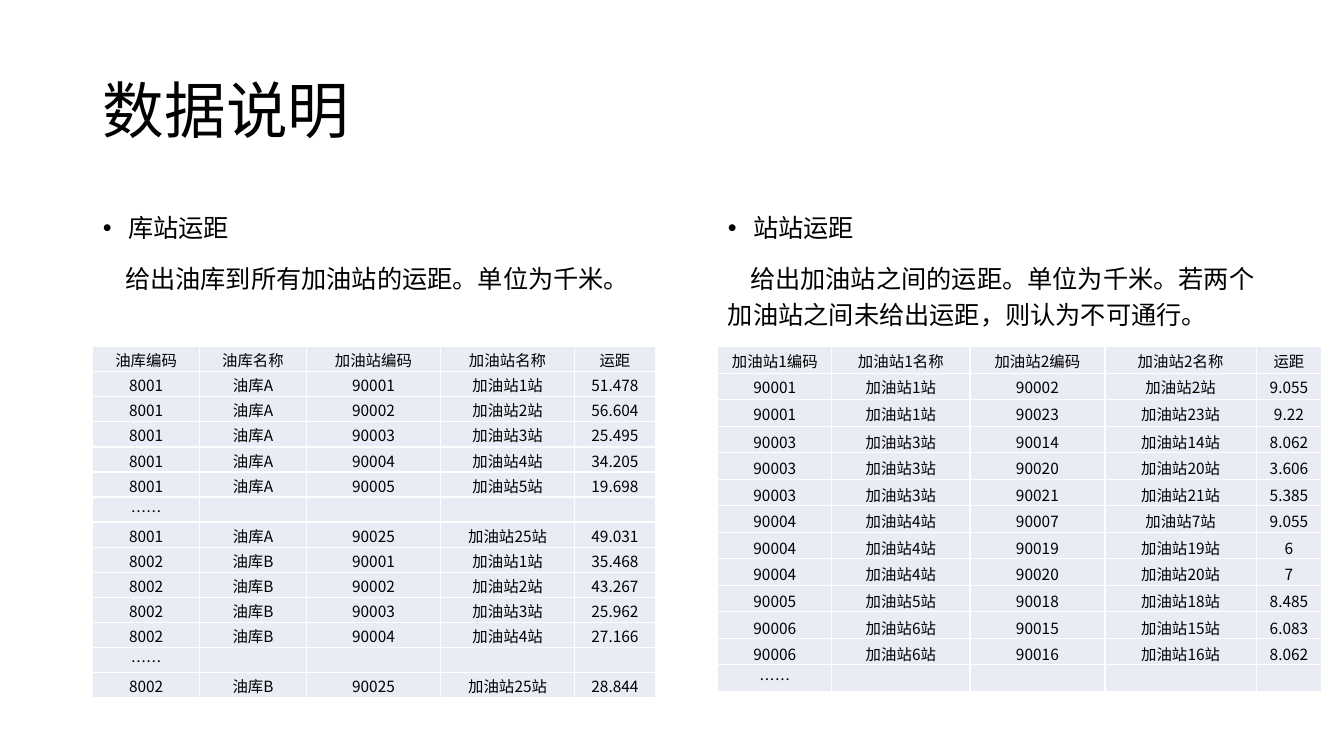
from lxml import etree
from pptx import Presentation
from pptx.dml.color import RGBColor
from pptx.enum.text import MSO_ANCHOR, MSO_AUTO_SIZE, PP_ALIGN
from pptx.oxml.ns import qn
from pptx.util import Inches, Pt

LEFT, CENTER = PP_ALIGN.LEFT, PP_ALIGN.CENTER
TOP, MIDDLE, BOTTOM = MSO_ANCHOR.TOP, MSO_ANCHOR.MIDDLE, MSO_ANCHOR.BOTTOM
NO_FIT = MSO_AUTO_SIZE.NONE
FONT = "Noto Sans CJK SC"
BLACK, WHITE, CELL = "000000", "FFFFFF", "E9EBF5"


def rgb(value):
    return RGBColor.from_string(value)


def add_run(p, text, size):
    r = p.add_run()
    r.text = text
    for name, value in {"size": Pt(size), "bold": False, "name": FONT}.items():
        setattr(r.font, name, value)
    r.font.color.rgb = rgb(BLACK)
    etree.SubElement(r._r.get_or_add_rPr(), qn("a:ea"), typeface=FONT)


prs = Presentation()
prs.slide_width, prs.slide_height = Inches(13.33), Inches(7.5)
s = prs.slides.add_slide(prs.slide_layouts[3])
title, left_body, right_body = s.placeholders

# Placeholder positions
boxes = [
    (title, (0.92, 0.4, 11.5, 1.45), MIDDLE),
    (left_body, (0.92, 2, 5.75, 1.61), TOP),
    (right_body, (7.12, 2, 5.63, 1.61), TOP),
]
for sp, box, anchor in boxes:
    sp.left, sp.top, sp.width, sp.height = map(Inches, box)
    tf = sp.text_frame
    for name, value in {"word_wrap": True, "auto_size": NO_FIT, "vertical_anchor": anchor}.items():
        setattr(tf, name, value)

# Title
p = title.text_frame.paragraphs[0]
p.alignment, p.line_spacing = LEFT, 0.9
add_run(p, "数据说明", 44)

# Bulleted heading and indented explanation on each side
bodies = [
    (left_body, "库站运距", "给出油库到所有加油站的运距。单位为千米。"),
    (right_body, "站站运距", "给出加油站之间的运距。单位为千米。若两个加油站之间未给出运距，则认为不可通行。"),
]
for sp, heading, note in bodies:
    tf = sp.text_frame
    lines = [
        (tf.paragraphs[0], heading, 0.25, -0.25, "buChar", {"char": "•"}),
        (tf.add_paragraph(), note, 0, 0.22, "buNone", {}),
    ]
    for p, text, margin, indent, bullet, attrs in lines:
        p.line_spacing, p.space_before = 1.2, Pt(10)
        pPr = p._p.get_or_add_pPr()
        pPr.set("marL", str(Inches(margin)))
        pPr.set("indent", str(Inches(indent)))
        etree.SubElement(pPr, qn("a:" + bullet), attrs)
        add_run(p, text, 18)

# Depot-to-station distances: depot code, name, (station, distance) or a gap
gap = ["……", "", "", "", ""]
depots = [
    ("8001", "油库A", [(1, "51.478"), (2, "56.604"), (3, "25.495"), (4, "34.205"),
                      (5, "19.698"), None, (25, "49.031")]),
    ("8002", "油库B", [(1, "35.468"), (2, "43.267"), (3, "25.962"), (4, "27.166"),
                      None, (25, "28.844")]),
]
depot_rows = [["油库编码", "油库名称", "加油站编码", "加油站名称", "运距"]]
for code, depot, trips in depots:
    for trip in trips:
        if trip is None:
            depot_rows.append(gap)
        else:
            n, km = trip
            depot_rows.append([code, depot, str(90000 + n), f"加油站{n}站", km])

# Station-to-station distances: from, to, distance
links = [
    (1, 2, "9.055"), (1, 23, "9.22"), (3, 14, "8.062"), (3, 20, "3.606"),
    (3, 21, "5.385"), (4, 7, "9.055"), (4, 19, "6"), (4, 20, "7"),
    (5, 18, "8.485"), (6, 15, "6.083"), (6, 16, "8.062"),
]
station_rows = [["加油站1编码", "加油站1名称", "加油站2编码", "加油站2名称", "运距"]]
for a, b, km in links:
    station_rows.append([str(90000 + a), f"加油站{a}站", str(90000 + b), f"加油站{b}站", km])
station_rows.append(gap)

# Tables: left, height, column widths, rows, vertically centred rows
tables = [
    (0.92, 3.48, [1.06, 1.06, 1.33, 1.33, 0.8], depot_rows, {0, 1, 2, 3, 12}),
    (7.12, 3.42, [1.13, 1.37, 1.34, 1.5, 0.65], station_rows, {0, 1, 2, 12}),
]
cell_margins = {"margin_left": 0.01, "margin_top": 0.01, "margin_right": 0.01, "margin_bottom": 0}
for left, height, widths, rows, centred in tables:
    table = s.shapes.add_table(len(rows), len(widths), Inches(left), Inches(3.44),
                               Inches(sum(widths)), Inches(height)).table
    table.first_row = table.horz_banding = False
    for column, width in zip(table.columns, widths):
        column.width = Inches(width)
    for i, row in enumerate(rows):
        for j, text in enumerate(row):
            cell = table.cell(i, j)
            for name, value in cell_margins.items():
                setattr(cell, name, Inches(value))
            cell.vertical_anchor = MIDDLE if i in centred else BOTTOM
            p = cell.text_frame.paragraphs[0]
            p.alignment = CENTER
            if text:
                add_run(p, text, 11)
            else:
                etree.SubElement(p._p, qn("a:endParaRPr"), sz="1100")
            # White borders, then the fill
            tcPr = cell._tc.get_or_add_tcPr()
            for side in "LRTB":
                ln = etree.SubElement(tcPr, qn("a:ln" + side), w=str(Pt(1)))
                fill = etree.SubElement(ln, qn("a:solidFill"))
                etree.SubElement(fill, qn("a:srgbClr"), val=WHITE)
            cell.fill.solid()
            cell.fill.fore_color.rgb = rgb(CELL)

prs.save("out.pptx")
